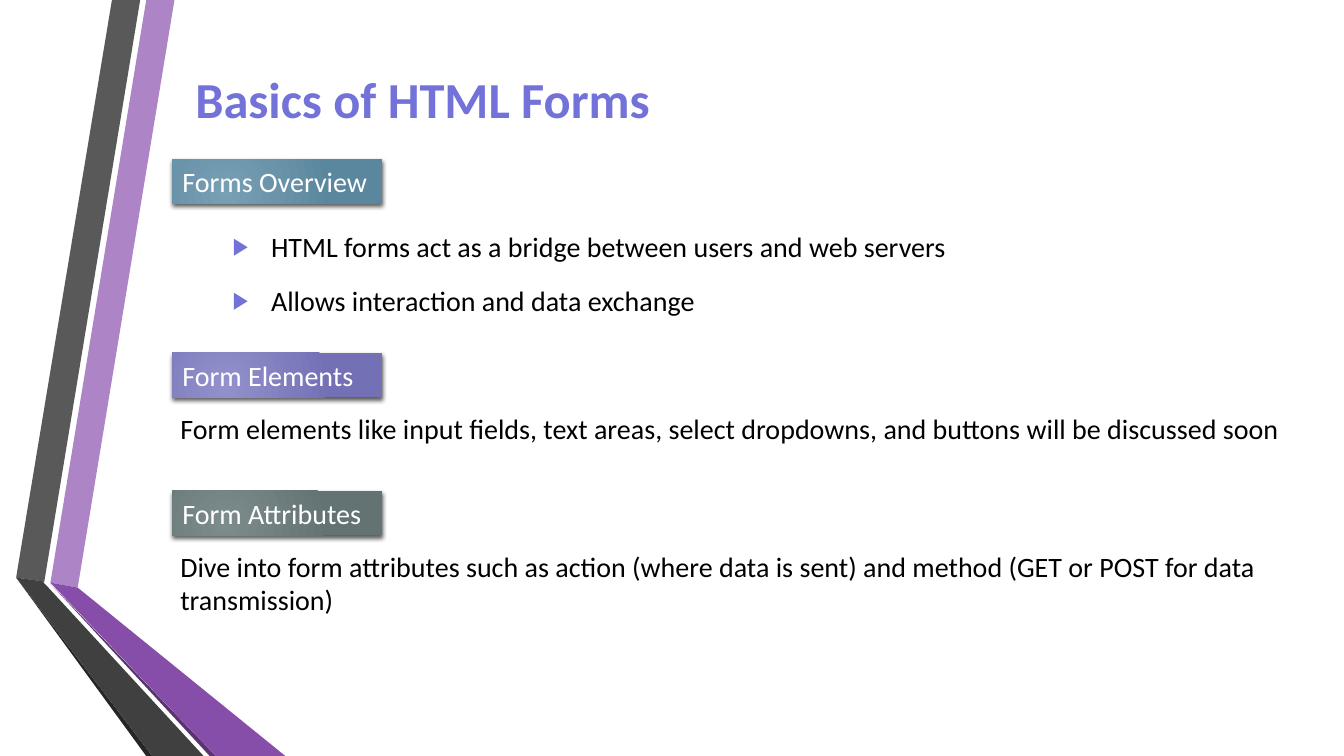
import pptx
import pptx.dml.color
import pptx.enum.shapes
import pptx.enum.text
import pptx.oxml.ns
import pptx.util
from lxml import etree

RGBColor = pptx.dml.color.RGBColor
qn = pptx.oxml.ns.qn

FONT = "Calibri"
BLACK = RGBColor(0x00, 0x00, 0x00)
WHITE = RGBColor(0xFF, 0xFF, 0xFF)
TITLE_BLUE = RGBColor(0x73, 0x72, 0xD8)
LILAC = RGBColor(0xAD, 0x84, 0xC6)
PURPLE = RGBColor(0x87, 0x4E, 0xA9)
DEEP_PURPLE = RGBColor(0x5A, 0x34, 0x71)
GREY = RGBColor(0x59, 0x59, 0x59)
CHARCOAL = RGBColor(0x40, 0x40, 0x40)
NEAR_BLACK = RGBColor(0x26, 0x26, 0x26)
TEAL = (RGBColor(0x78, 0xA0, 0xB5), RGBColor(0x5B, 0x87, 0x9E))
VIOLET = (RGBColor(0x93, 0x91, 0xCC), RGBColor(0x74, 0x70, 0xB6))
SLATE = (RGBColor(0x7C, 0x8C, 0x8D), RGBColor(0x63, 0x73, 0x74))

SLIDE_WIDTH = pptx.util.Inches(13.33)
SLIDE_HEIGHT = pptx.util.Inches(7.5)

# Positions are percentages of the slide's width (x) and height (y)
LINE_HEIGHT = 5.87
LINE_PITCH = 7.07
TAG_LEFT, TAG_WIDTH = 12.83, 15.6
BODY_LEFT, BODY_WIDTH = 12.68, 84.53
BULLET_LEFT = 16.58
BULLET_OFFSET = 8.67

RIBBONS = [
    (LILAC, [(3.75, 77.07), (5.78, 77.73), (12.98, 0), (10.88, 0)]),
    (GREY, [(10.43, 0), (8.33, 0), (1.2, 76.4), (3.3, 76.93)]),
    (NEAR_BLACK, [(1.2, 76.4), (10.88, 100), (11.33, 100)]),
    (DEEP_PURPLE, [(3.75, 77.2), (15.6, 100), (16.05, 100)]),
    (PURPLE, [(3.75, 77.07), (16.05, 100), (21.23, 100), (5.78, 77.73)]),
    (CHARCOAL, [(15.15, 100), (3.6, 77.73), (3.23, 77.07), (3.3, 76.93),
                (1.2, 76.4), (11.33, 100)]),
]

# Tag text, tag colours, tag top, body text, body height
SECTIONS = [
    ("Form Elements", VIOLET, 46.67,
     "Form elements like input fields, text areas, select dropdowns, "
     "and buttons will be discussed soon", LINE_HEIGHT),
    ("Form Attributes", SLATE, 64.93,
     "Dive into form attributes such as action (where data is sent) "
     "and method (GET or POST for data transmission)", 10.27),
]
OVERVIEW_TOP = 21.07
OVERVIEW_BULLETS = [
    ("HTML forms act as a bridge between users and web servers", 65.55),
    ("Allows interaction and data exchange", 36.83),
]


def across(share):
    return round(SLIDE_WIDTH * share / 100)


def down(share):
    return round(SLIDE_HEIGHT * share / 100)


def box(left, top, width, height):
    return across(left), down(top), across(width), down(height)


def add_ribbon(slide, color, points):
    start, *rest = [(across(x), down(y)) for x, y in points]
    builder = slide.shapes.build_freeform(*start)
    builder.add_line_segments(rest, close=True)
    shape = builder.convert_to_shape()
    shape.shadow.inherit = False
    shape.fill.solid()
    shape.fill.fore_color.rgb = color
    shape.line.fill.background()


def write_text(shape, text, color, size=20, bold=False):
    frame = shape.text_frame
    frame.word_wrap = True
    frame.auto_size = pptx.enum.text.MSO_AUTO_SIZE.SHAPE_TO_FIT_TEXT
    paragraph = frame.paragraphs[0]
    paragraph.alignment = pptx.enum.text.PP_ALIGN.LEFT
    run = paragraph.add_run()
    run.text = text
    run.font.name = FONT
    run.font.size = pptx.util.Pt(size)
    run.font.bold = bold
    run.font.color.rgb = color
    return paragraph


def add_text(slide, place, text, color=BLACK, size=20, bold=False):
    shape = slide.shapes.add_textbox(*box(*place))
    return write_text(shape, text, color, size, bold)


def add_bullet(slide, place, text):
    properties = add_text(slide, place, text)._p.get_or_add_pPr()
    indent = pptx.util.Inches(0.38)
    properties.set("marL", str(indent))
    properties.set("indent", str(-indent))
    color = etree.SubElement(properties, qn("a:buClr"))
    etree.SubElement(color, qn("a:srgbClr"), val=str(TITLE_BLUE))
    etree.SubElement(properties, qn("a:buSzPct"), val="85000")
    etree.SubElement(properties, qn("a:buFont"), typeface="Arial")
    etree.SubElement(properties, qn("a:buChar"), char="▶")


def set_radial_fill(shape, colors):
    shape.fill.gradient()
    for stop, position, color in zip(shape.fill.gradient_stops, (0, 1), colors):
        stop.position = position
        stop.color.rgb = color
    gradient = shape._element.spPr.find(qn("a:gradFill"))
    gradient.remove(gradient.find(qn("a:lin")))
    circle = etree.SubElement(gradient, qn("a:path"), path="circle")
    etree.SubElement(circle, qn("a:fillToRect"),
                     l="50000", t="100000", r="100000", b="50000")


def set_drop_shadow(shape):
    shape.shadow.inherit = False
    effects = shape._element.spPr.find(qn("a:effectLst"))
    shadow = etree.SubElement(
        effects, qn("a:outerShdw"), blurRad=str(pptx.util.Pt(3)),
        dist=str(pptx.util.Pt(2)), dir="5400000", algn="ctr", rotWithShape="0")
    color = etree.SubElement(shadow, qn("a:srgbClr"), val=str(BLACK))
    etree.SubElement(color, qn("a:alpha"), val="64000")


def add_tag(slide, top, text, colors):
    shape = slide.shapes.add_shape(
        pptx.enum.shapes.MSO_SHAPE.RECTANGLE,
        *box(TAG_LEFT, top, TAG_WIDTH, LINE_HEIGHT))
    set_radial_fill(shape, colors)
    shape.line.fill.background()
    set_drop_shadow(shape)
    write_text(shape, text, WHITE)


def main():
    presentation = pptx.Presentation()
    presentation.slide_width = SLIDE_WIDTH
    presentation.slide_height = SLIDE_HEIGHT
    slide = presentation.slides.add_slide(presentation.slide_layouts[6])

    # Folded ribbons on the left
    for color, points in RIBBONS:
        add_ribbon(slide, color, points)

    # Title
    add_text(slide, (13.8, 8.4, 38.1, 9.5), "Basics of HTML Forms",
             TITLE_BLUE, size=36, bold=True)

    # Overview with bullets
    add_tag(slide, OVERVIEW_TOP, "Forms Overview", TEAL)
    for index, (text, width) in enumerate(OVERVIEW_BULLETS):
        top = OVERVIEW_TOP + BULLET_OFFSET + index * LINE_PITCH
        add_bullet(slide, (BULLET_LEFT, top, width, LINE_HEIGHT), text)

    # Tagged sections with body text
    for tag, colors, top, body, height in SECTIONS:
        add_tag(slide, top, tag, colors)
        add_text(slide, (BODY_LEFT, top + LINE_PITCH, BODY_WIDTH, height), body)

    presentation.save("out.pptx")


if __name__ == "__main__":
    main()
